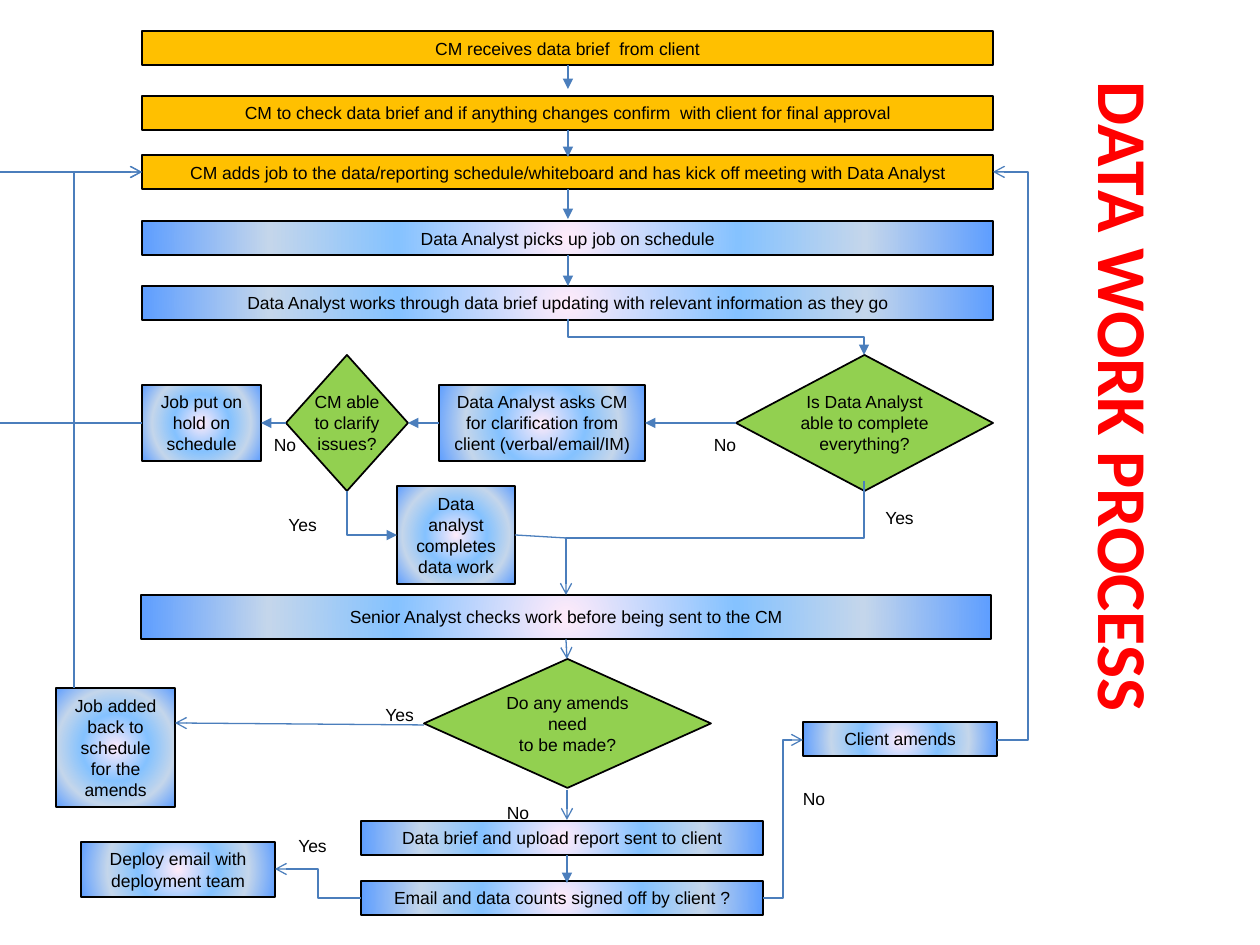
from lxml.etree import SubElement
from pptx import Presentation
from pptx.dml.color import RGBColor
from pptx.enum.shapes import MSO_CONNECTOR, MSO_SHAPE
from pptx.enum.text import MSO_ANCHOR, PP_ALIGN
from pptx.oxml.ns import qn
from pptx.util import Emu, Pt

PX = 914400 // 126
BLACK = RGBColor(0, 0, 0)
RED = RGBColor(0xFF, 0, 0)
AMBER = RGBColor(0xFF, 0xC0, 0)
GREEN = RGBColor(0x92, 0xD0, 0x50)
BLUE = RGBColor(0x4B, 0x7E, 0xBC)
GLOW = [(0, RGBColor(0xFF, 0xEB, 0xFA)), (40, RGBColor(0x85, 0xC2, 0xFF)),
        (70, RGBColor(0xC4, 0xD6, 0xEB)), (100, RGBColor(0x5E, 0x9E, 0xFF))]

# (left, top, width, height, text)
CM_STEPS = [
    (142, 31, 851, 34, "CM receives data brief  from client"),
    (142, 96, 851, 34, "CM to check data brief and if anything changes confirm  with client for final approval"),
    (142, 155, 851, 34, "CM adds job to the data/reporting schedule/whiteboard and has kick off meeting with Data Analyst"),
]
ANALYST_STEPS = [
    (142, 221, 851, 34, "Data Analyst picks up job on schedule"),
    (142, 286, 851, 34, "Data Analyst works through data brief updating with relevant information as they go"),
    (439, 385, 206, 76, "Data Analyst asks CM for clarification from client (verbal/email/IM)"),
    (142, 385, 119, 76, "Job put on hold on schedule"),
    (397, 486, 118, 98, "Data analyst completes data work"),
    (141, 595, 850, 44, "Senior Analyst checks work before being sent to the CM"),
    (56, 688, 119, 119, "Job added back to schedule for the amends"),
    (803, 722, 194, 34, "Client amends"),
    (361, 821, 402, 34, "Data brief and upload report sent to client"),
    (361, 881, 402, 34, "Email and data counts signed off by client ?"),
    (81, 842, 194, 55, "Deploy email with deployment team"),
]
DECISIONS = [
    (736, 355, 257, 136, "Is Data Analyst\nable to complete\neverything?"),
    (286, 355, 122, 136, "CM able\nto clarify\nissues?"),
    (424, 659, 287, 129, "Do any amends\nneed\nto be made?"),
]
LABELS = [
    (869, 501, 61, 34, "Yes"), (275, 508, 55, 34, "Yes"),
    (372, 698, 55, 34, "Yes"), (285, 829, 55, 34, "Yes"),
    (701, 428, 48, 34, "No"), (261, 428, 48, 34, "No"),
    (494, 796, 48, 34, "No"), (790, 782, 48, 34, "No"),
]
TITLE = (591, 546, 1071, 118, "DATA WORK PROCESS")

# (x1, y1, x2, y2, arrowhead)
STRAIGHT = [
    (568, 65, 568, 89, "triangle"), (568, 130, 568, 157, "triangle"),
    (568, 189, 568, 219, "triangle"), (568, 255, 568, 286, "triangle"),
    (736, 423, 645, 423, "triangle"), (439, 423, 408, 423, "triangle"),
    (286, 423, 261, 423, "triangle"), (567, 855, 567, 883, "triangle"),
    (566, 639, 567, 659, "arrow"), (567, 790, 567, 820, "arrow"),
    (424, 725, 175, 723, "arrow"), (0, 172, 142, 172, "arrow"),
    (142, 423, 0, 423, None), (566, 538, 515, 535, None),
]
# (x1, y1, x2, y2, arrowhead, position of the middle leg)
ACROSS = [
    (763, 898, 803, 740, "arrow", 0.5),
    (361, 898, 275, 869, "arrow", 0.5),
    (997, 740, 993, 172, "arrow", -7.75),
]
# (x1, y1, x2, y2, arrowhead, preset)
UP_DOWN = [
    (568, 319, 864, 355, "triangle", "bentConnector3"),
    (864, 481, 566, 595, "arrow", "bentConnector3"),
    (347, 491, 397, 535, "triangle", "bentConnector2"),
    (74, 688, 142, 172, "arrow", "bentConnector2"),
]


def px(*values):
    """Turn pixels into EMU."""
    return [Emu(round(v * PX)) for v in values]


def write(sp, text, size=10, font="Arial", color=BLACK, bold=False,
          align=PP_ALIGN.CENTER, anchor=MSO_ANCHOR.MIDDLE, wrap=True):
    """Put text into a shape, one paragraph per line."""
    tf = sp.text_frame
    tf.text = text
    tf.word_wrap = wrap
    tf.vertical_anchor = anchor
    for p in tf.paragraphs:
        p.alignment = align
        p.font.size, p.font.name, p.font.bold = Pt(size), font, bold
        p.font.color.rgb = color


def glow(sp):
    """Fill a shape with the gradient that spreads from its centre."""
    sp.fill.background()
    old = sp.element.spPr.find(qn("a:noFill"))
    grad = old.makeelement(qn("a:gradFill"), {"rotWithShape": "1"})
    stops = SubElement(grad, qn("a:gsLst"))
    for pos, color in GLOW:
        gs = SubElement(stops, qn("a:gs"), pos=str(pos * 1000))
        SubElement(gs, qn("a:srgbClr"), val=str(color))
    way = SubElement(grad, qn("a:path"), {"path": "circle"})
    SubElement(way, qn("a:fillToRect"), {k: "50000" for k in "ltrb"})
    old.getparent().replace(old, grad)


def add_step(s, kind, box, color=None):
    """Add one outlined step; without a colour it gets the gradient."""
    *place, text = box
    sp = s.shapes.add_shape(kind, *px(*place))
    sp.shadow.inherit = False
    if color is None:
        glow(sp)
    else:
        sp.fill.solid()
        sp.fill.fore_color.rgb = color
    sp.line.color.rgb = BLACK
    sp.line.width = Pt(1)
    write(sp, text, wrap=kind == MSO_SHAPE.RECTANGLE)


def add_line(s, kind, ends, head):
    """Add a thin blue connector with an optional arrowhead."""
    line = s.shapes.add_connector(kind, *px(*ends))
    line.line.color.rgb = BLUE
    line.line.width = Pt(0.75)
    spPr = line.element.spPr
    if head:
        SubElement(spPr.find(qn("a:ln")), qn("a:tailEnd"), type=head)
    SubElement(spPr, qn("a:effectLst"))
    return spPr


def add_across(s, x1, y1, x2, y2, head, middle):
    """Add an elbow that leaves sideways."""
    spPr = add_line(s, MSO_CONNECTOR.ELBOW, (x1, y1, x2, y2), head)
    guides = spPr.find(qn("a:prstGeom")).find(qn("a:avLst"))
    SubElement(guides, qn("a:gd"), name="adj1", fmla=f"val {round(middle * 100000)}")


def add_up_down(s, x1, y1, x2, y2, head, preset):
    """Add an elbow that leaves upwards or downwards: a sideways one, turned."""
    dx, dy = x2 - x1, y2 - y1
    cx, cy = (x1 + x2) / 2, (y1 + y2) / 2
    half_w = abs(dy) / 2
    half_h = abs(dx) / 2 * (1 if dx * dy < 0 else -1)
    ends = (cx - half_w, cy - half_h, cx + half_w, cy + half_h)
    spPr = add_line(s, MSO_CONNECTOR.ELBOW, ends, head)
    spPr.find(qn("a:xfrm")).set("rot", str((90 if dy > 0 else 270) * 60000))
    spPr.find(qn("a:prstGeom")).set("prst", preset)


def main():
    """Build the flow chart and save it."""
    prs = Presentation()
    prs.slide_width, prs.slide_height = px(1260, 945)
    s = prs.slides.add_slide(prs.slide_layouts[6])
    for box in CM_STEPS:
        add_step(s, MSO_SHAPE.RECTANGLE, box, AMBER)
    for box in ANALYST_STEPS:
        add_step(s, MSO_SHAPE.RECTANGLE, box)
    for box in DECISIONS:
        add_step(s, MSO_SHAPE.FLOWCHART_DECISION, box, GREEN)
    for *ends, head in STRAIGHT:
        add_line(s, MSO_CONNECTOR.STRAIGHT, ends, head)
    for elbow in ACROSS:
        add_across(s, *elbow)
    for elbow in UP_DOWN:
        add_up_down(s, *elbow)
    for *place, text in LABELS:
        write(s.shapes.add_textbox(*px(*place)), text, anchor=MSO_ANCHOR.TOP, wrap=False)
    *place, text = TITLE
    title = s.shapes.add_textbox(*px(*place))
    title.rotation = 90
    write(title, text, 40, "Calibri", RED, True, PP_ALIGN.LEFT)
    prs.save("out.pptx")


main()
